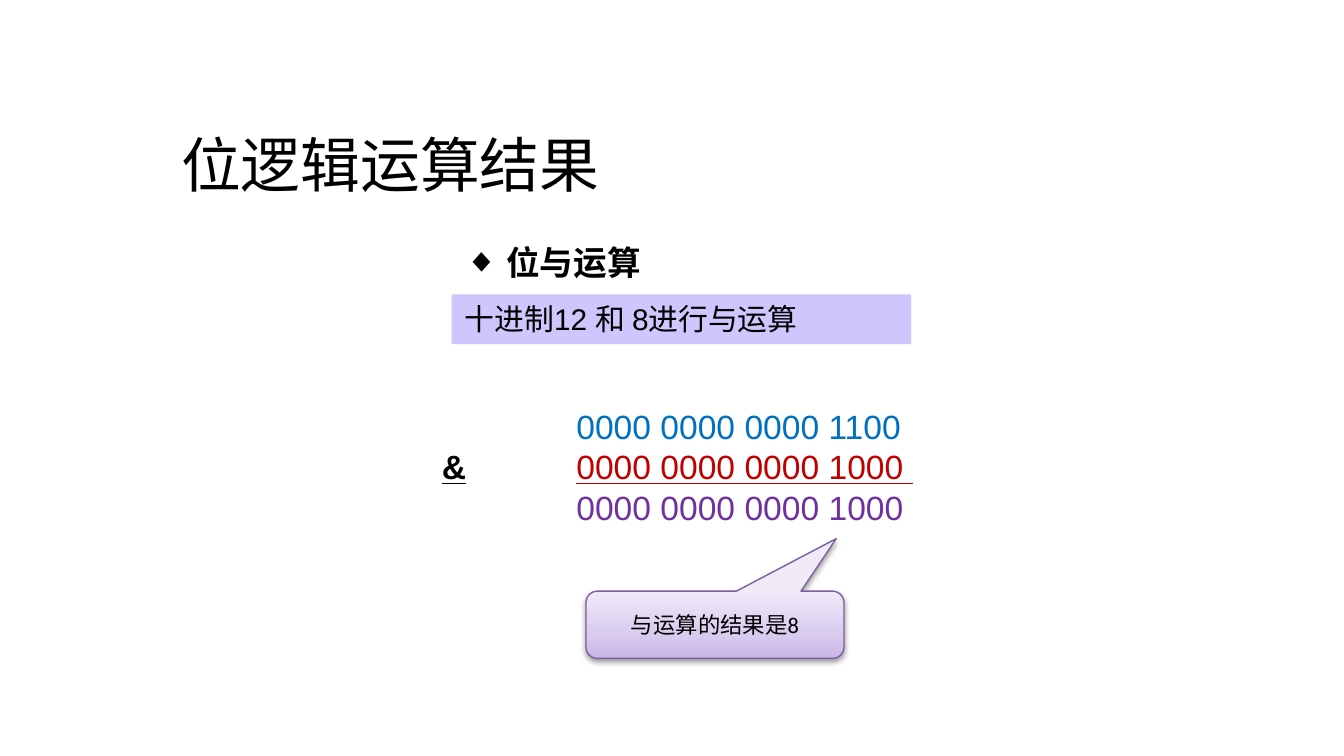
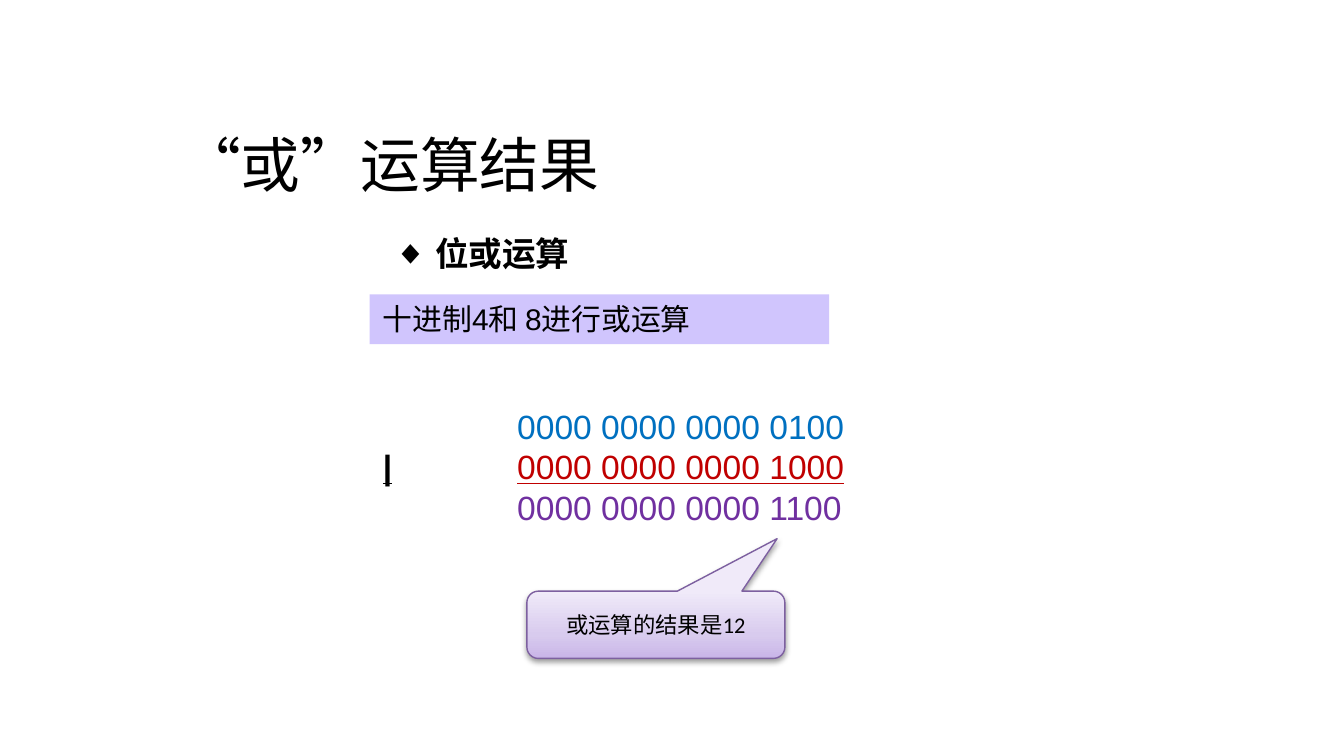
from dataclasses import dataclass

from lxml.etree import SubElement
from pptx import Presentation
from pptx.dml.color import RGBColor
from pptx.enum.lang import MSO_LANGUAGE_ID as Lang
from pptx.enum.shapes import MSO_SHAPE as Shape
from pptx.enum.text import MSO_ANCHOR as Anchor, MSO_AUTO_SIZE as Fit, PP_ALIGN as Align
from pptx.oxml.ns import qn
from pptx.util import Inches, Pt

WIDTH, HEIGHT = Inches(10), Inches(5.625)


@dataclass(frozen=True)
class Theme:
    body_font: str = "Arial"
    title_font: str = "Calibri"
    title_size: float = 32
    body_size: float = 18
    strip_size: float = 16
    callout_size: float = 12
    ink: str = "000000"
    first: str = "0070C0"
    second: str = "C00000"
    result: str = "7030A0"
    strip: str = "D0C5FD"
    callout_line: str = "7D60A0"
    callout_stops: tuple = ((0, "C9B5E8"), (35, "D8CBEE"), (100, "F0EAF9"))


THEME = Theme()


@dataclass(frozen=True)
class Box:
    """A rectangle in percent of the slide's width and height."""
    x: float
    y: float
    w: float
    h: float

    def emu(self) -> tuple:
        return (round(WIDTH * self.x / 100), round(HEIGHT * self.y / 100),
                round(WIDTH * self.w / 100), round(HEIGHT * self.h / 100))


@dataclass(frozen=True)
class Operation:
    """One bitwise operation and where its parts stand on the slide."""
    title: str
    heading: str
    heading_box: Box
    question: str
    strip_box: Box
    symbol: str
    first: str
    second: str
    result: str
    sum_box: Box
    answer: str
    callout_box: Box


TITLE_BOX = Box(12.5, 16, 60.8, 11.9)
OPERATIONS = (
    Operation("位逻辑运算结果",
              "位与运算", Box(33.6, 31.1, 18.3, 7.1),
              "十进制12 和 8进行与运算", Box(33.6, 38.93, 34.2, 6.6),
              "&", "0000 0000 0000 1100", "0000 0000 0000 1000 ", "0000 0000 0000 1000",
              Box(31.9, 52.8, 38.1, 17.95),
              "与运算的结果是8", Box(43.6, 78.2, 19.2, 8.9)),
    Operation("“或”运算结果",
              "位或运算", Box(28.3, 30, 18.3, 7.1),
              "十进制4和 8进行或运算", Box(27.5, 38.93, 34.2, 6.6),
              "|", "0000 0000 0000 0100", "0000 0000 0000 1000", "0000 0000 0000 1100",
              Box(27.5, 52.8, 36.7, 17.95),
              "或运算的结果是12", Box(39.2, 78.2, 19.2, 8.9)),
)


def rgb(color: str) -> RGBColor:
    return RGBColor.from_string(color)


def add_run(p, text: str, *, size: float = THEME.body_size, font: str = THEME.body_font,
            color: str = THEME.ink, bold: bool = False, underline: bool = False) -> None:
    r = p.add_run()
    r.text = text
    f = r.font
    f.size, f.name, f.bold, f.underline = Pt(size), font, bold, underline
    f.color.rgb = rgb(color)
    f.language_id = Lang.SIMPLIFIED_CHINESE


def add_text_box(slide, box: Box, *, wrap: bool = True, grow: bool = True):
    tf = slide.shapes.add_textbox(*box.emu()).text_frame
    tf.word_wrap = wrap
    tf.auto_size = Fit.SHAPE_TO_FIT_TEXT if grow else Fit.NONE
    return tf


def add_heading(slide, op: Operation) -> None:
    p = add_text_box(slide, op.heading_box).paragraphs[0]
    add_run(p, op.heading, bold=True)
    pPr = p._p.get_or_add_pPr()
    hang = Inches(0.31)
    pPr.set("marL", str(hang))
    pPr.set("indent", str(-hang))
    SubElement(pPr, qn("a:buFont"), typeface=THEME.body_font)
    SubElement(pPr, qn("a:buChar"), char="◆")


def add_sum(slide, op: Operation) -> None:
    """Set the operands and result under each other at one tab stop."""
    tf = add_text_box(slide, op.sum_box, wrap=False)
    rows = (("", op.first, THEME.first),
            (op.symbol, op.second, THEME.second),
            ("", op.result, THEME.result))
    for i, (symbol, bits, color) in enumerate(rows):
        p = tf.add_paragraph() if i else tf.paragraphs[0]
        tabs = SubElement(p._p.get_or_add_pPr(), qn("a:tabLst"))
        SubElement(tabs, qn("a:tab"), pos=str(Inches(1)), algn="l")
        if symbol:
            add_run(p, symbol, bold=True, underline=True)
        add_run(p, "\t")
        add_run(p, bits, color=color, underline=bool(symbol))


def add_strip(slide, op: Operation) -> None:
    sp = slide.shapes.add_shape(Shape.RECTANGLE, *op.strip_box.emu())
    sp.shadow.inherit = False
    sp.fill.solid()
    sp.fill.fore_color.rgb = rgb(THEME.strip)
    sp.line.fill.background()
    tf = sp.text_frame
    tf.word_wrap, tf.auto_size = True, Fit.SHAPE_TO_FIT_TEXT
    tf.vertical_anchor = Anchor.TOP
    p = tf.paragraphs[0]
    p.alignment = Align.LEFT
    add_run(p, op.question, size=THEME.strip_size)


def fill_gradient(sp, stops: tuple) -> None:
    sp.fill.gradient()
    sp.fill.gradient_angle = 90
    gs_list = sp._element.spPr.find(qn("a:gradFill")).find(qn("a:gsLst"))
    for gs in list(gs_list):
        gs_list.remove(gs)
    for share, color in stops:
        gs = SubElement(gs_list, qn("a:gs"), pos=str(share * 1000))
        SubElement(gs, qn("a:srgbClr"), val=color)


def add_shadow(sp) -> None:
    sp.shadow.inherit = False
    effects = sp._element.spPr.find(qn("a:effectLst"))
    shadow = SubElement(effects, qn("a:outerShdw"), blurRad=str(Pt(3.1)), dist=str(Pt(1.6)),
                        dir="5400000", rotWithShape="0")
    color = SubElement(shadow, qn("a:srgbClr"), val=THEME.ink)
    SubElement(color, qn("a:alpha"), val="38000")


def add_callout(slide, op: Operation) -> None:
    sp = slide.shapes.add_shape(Shape.ROUNDED_RECTANGULAR_CALLOUT, *op.callout_box.emu())
    for i, value in enumerate((0.47, -1.28, 0.17)):
        sp.adjustments[i] = value
    fill_gradient(sp, THEME.callout_stops)
    sp.line.color.rgb = rgb(THEME.callout_line)
    sp.line.width = Pt(0.75)
    add_shadow(sp)
    tf = sp.text_frame
    tf.word_wrap, tf.vertical_anchor = True, Anchor.MIDDLE
    p = tf.paragraphs[0]
    p.alignment = Align.CENTER
    add_run(p, op.answer, size=THEME.callout_size, font=THEME.title_font)


def add_operation(prs, op: Operation) -> None:
    slide = prs.slides.add_slide(prs.slide_layouts[6])
    add_sum(slide, op)
    title = add_text_box(slide, TITLE_BOX, grow=False)
    add_run(title.paragraphs[0], op.title, size=THEME.title_size, font=THEME.title_font)
    add_strip(slide, op)
    add_heading(slide, op)
    add_callout(slide, op)


def main() -> None:
    prs = Presentation()
    prs.slide_width, prs.slide_height = WIDTH, HEIGHT
    for op in OPERATIONS:
        add_operation(prs, op)
    prs.save("out.pptx")


if __name__ == "__main__":
    main()
